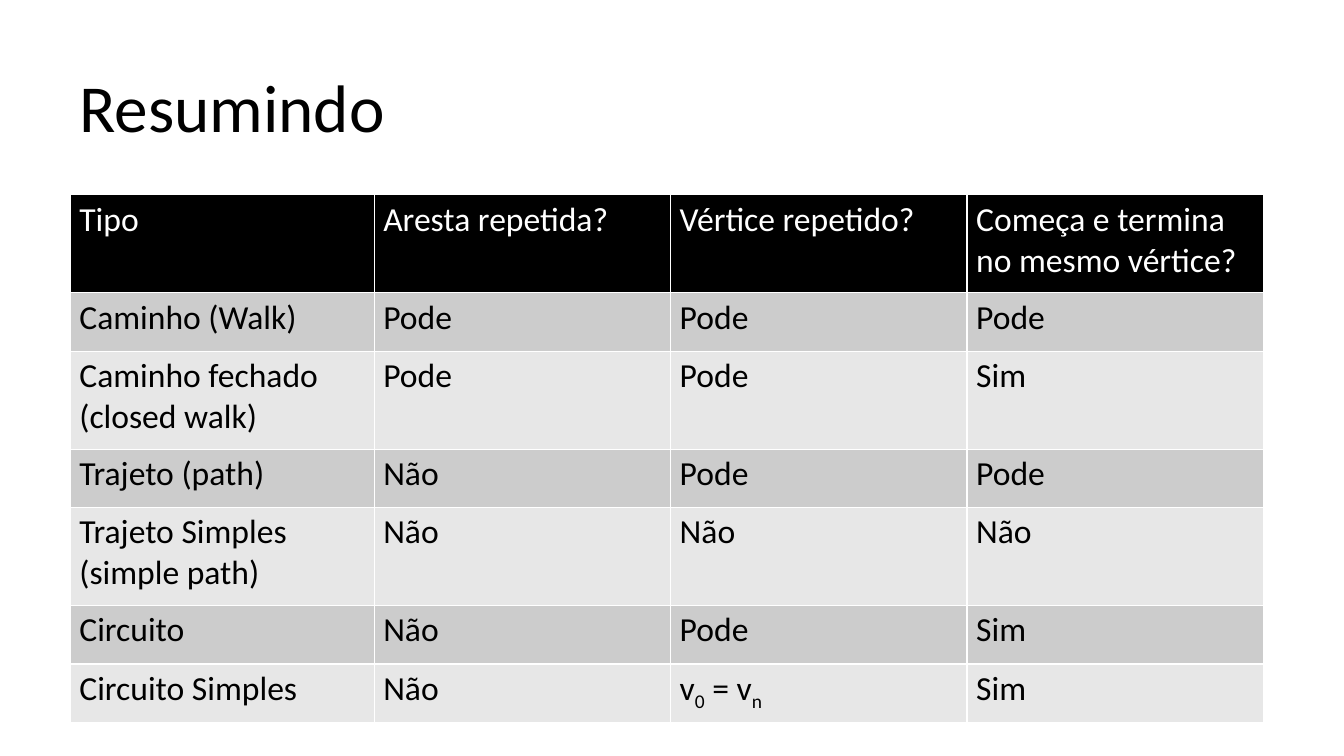
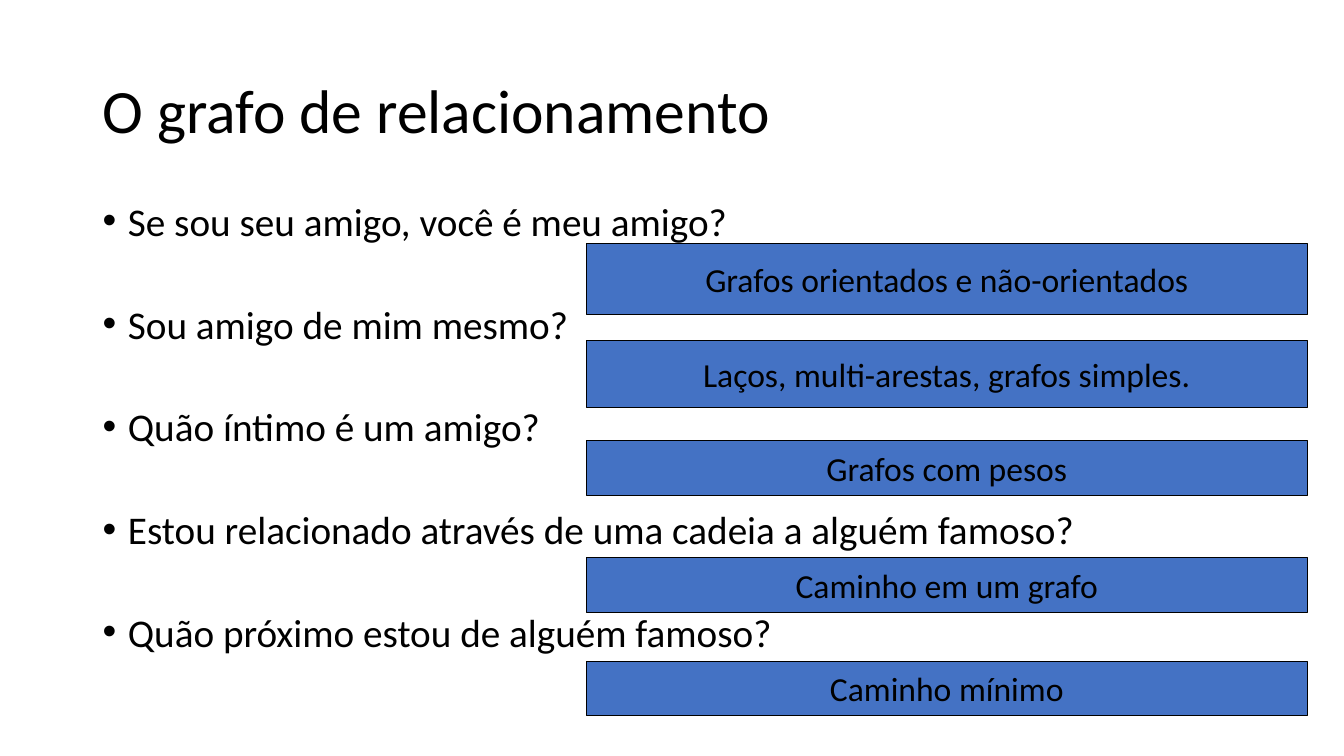
import lxml.etree
import pptx
import pptx.dml.color
import pptx.enum.shapes
import pptx.enum.text
import pptx.oxml.ns
import pptx.util

Cm = pptx.util.Cm
Pt = pptx.util.Pt
RGBColor = pptx.dml.color.RGBColor
Anchor = pptx.enum.text.MSO_ANCHOR
Align = pptx.enum.text.PP_ALIGN
qn = pptx.oxml.ns.qn

BLACK = RGBColor(0x00, 0x00, 0x00)
WHITE = RGBColor(0xFF, 0xFF, 0xFF)
DARK = RGBColor(0xCC, 0xCC, 0xCC)
LIGHT = RGBColor(0xE7, 0xE7, 0xE7)
BLUE = RGBColor(0x44, 0x72, 0xC4)
FONT = "Calibri"


def style(para, size, color=BLACK):
    """Format every run of a paragraph."""
    for run in para.runs:
        run.font.name = FONT
        run.font.size = Pt(size)
        run.font.bold = False
        run.font.color.rgb = color


def title(slide, text, box, size, anchor):
    shape = slide.shapes.title
    shape.left, shape.top, shape.width, shape.height = map(Cm, box)
    frame = shape.text_frame
    frame.text = text
    frame.auto_size = pptx.enum.text.MSO_AUTO_SIZE.NONE
    frame.vertical_anchor = anchor
    para = frame.paragraphs[0]
    para.alignment = Align.LEFT
    para.line_spacing = 0.9
    style(para, size)


deck = pptx.Presentation()
deck.slide_width = Cm(33.87)
deck.slide_height = Cm(19.05)

# Summary table
slide = deck.slides.add_slide(deck.slide_layouts[5])
title(slide, "Resumindo", (1.75, 1.75, 30.12, 6.12), 48, Anchor.TOP)

rows = [
    ("Tipo", "Aresta repetida?", "Vértice repetido?",
     "Começa e termina no mesmo vértice?"),
    ("Caminho (Walk)", "Pode", "Pode", "Pode"),
    ("Caminho fechado (closed walk)", "Pode", "Pode", "Sim"),
    ("Trajeto (path)", "Não", "Pode", "Pode"),
    ("Trajeto Simples (simple path)", "Não", "Não", "Não"),
    ("Circuito", "Não", "Pode", "Sim"),
    ("Circuito Simples", "Não", "", "Sim"),
]
widths = (7.66, 7.47, 7.47, 7.47)
heights = (2.47, 1.47, 2.47, 1.47, 2.47, 1.47, 1.47)
table = slide.shapes.add_table(
    len(rows), len(widths), Cm(1.77), Cm(4.91),
    Cm(sum(widths)), Cm(sum(heights))).table
for col, width in zip(table.columns, widths):
    col.width = Cm(width)
for row, height in zip(table.rows, heights):
    row.height = Cm(height)

# Closing vertex condition, with subscripts
para = table.cell(6, 2).text_frame.paragraphs[0]
for text, sub in (("v", False), ("0", True), (" = v", False), ("n", True)):
    run = para.add_run()
    run.text = text
    if sub:
        run._r.get_or_add_rPr().set("baseline", "-25000")

for r, texts in enumerate(rows):
    for c, text in enumerate(texts):
        cell = table.cell(r, c)
        if text:
            cell.text_frame.text = text
        cell.margin_left = cell.margin_right = Cm(0.23)
        cell.margin_top = cell.margin_bottom = Cm(0.11)
        props = cell._tc.get_or_add_tcPr()
        for side in ("a:lnL", "a:lnR", "a:lnT", "a:lnB"):
            line = lxml.etree.SubElement(props, qn(side), w=str(Pt(1)))
            fill = lxml.etree.SubElement(line, qn("a:solidFill"))
            lxml.etree.SubElement(fill, qn("a:srgbClr"), val=str(WHITE))
        cell.fill.solid()
        cell.fill.fore_color.rgb = BLACK if r == 0 else (LIGHT, DARK)[r % 2]
        style(cell.text_frame.paragraphs[0], 24, WHITE if r == 0 else BLACK)

# Questions and the graph concepts behind them
slide = deck.slides.add_slide(deck.slide_layouts[1])
title(slide, "O grafo de relacionamento", (2.33, 1.01, 29.21, 3.68), 44,
      Anchor.MIDDLE)

asks = [
    "Se sou seu amigo, você é meu amigo?",
    "Sou amigo de mim mesmo?",
    "Quão íntimo é um amigo?",
    "Estou relacionado através de uma cadeia a alguém famoso?",
    "Quão próximo estou de alguém famoso?",
]
body = slide.placeholders[1]
body.left, body.top, body.width, body.height = map(
    Cm, (2.33, 5.07, 29.21, 12.09))
frame = body.text_frame
frame.text = "\n".join(asks)
frame.auto_size = pptx.enum.text.MSO_AUTO_SIZE.NONE
for i, para in enumerate(frame.paragraphs):
    props = para._p.get_or_add_pPr()
    props.set("marL", str(Cm(0.64)))
    props.set("indent", str(-Cm(0.64)))
    lxml.etree.SubElement(props, qn("a:buFont"), typeface="Arial")
    lxml.etree.SubElement(props, qn("a:buChar"), char="•")
    para.line_spacing = 0.8
    para.space_before = Pt(46.5 if i else 0)
    style(para, 28)

ideas = [
    ("Grafos orientados e não-orientados", 6.13, 1.79),
    ("Laços, multi-arestas, grafos simples.", 8.57, 1.7),
    ("Grafos com pesos", 11.1, 1.38),
    ("Caminho em um grafo", 14.05, 1.38),
    ("Caminho mínimo", 16.66, 1.38),
]
for text, top, height in ideas:
    box = slide.shapes.add_shape(
        pptx.enum.shapes.MSO_SHAPE.RECTANGLE,
        Cm(14.78), Cm(top), Cm(18.16), Cm(height))
    box.shadow.inherit = False
    box.fill.solid()
    box.fill.fore_color.rgb = BLUE
    box.line.color.rgb = BLACK
    box.line.width = Pt(0.75)
    frame = box.text_frame
    frame.text = text
    frame.word_wrap = False
    frame.vertical_anchor = Anchor.MIDDLE
    para = frame.paragraphs[0]
    para.alignment = Align.CENTER
    style(para, 24)

deck.save("out.pptx")
